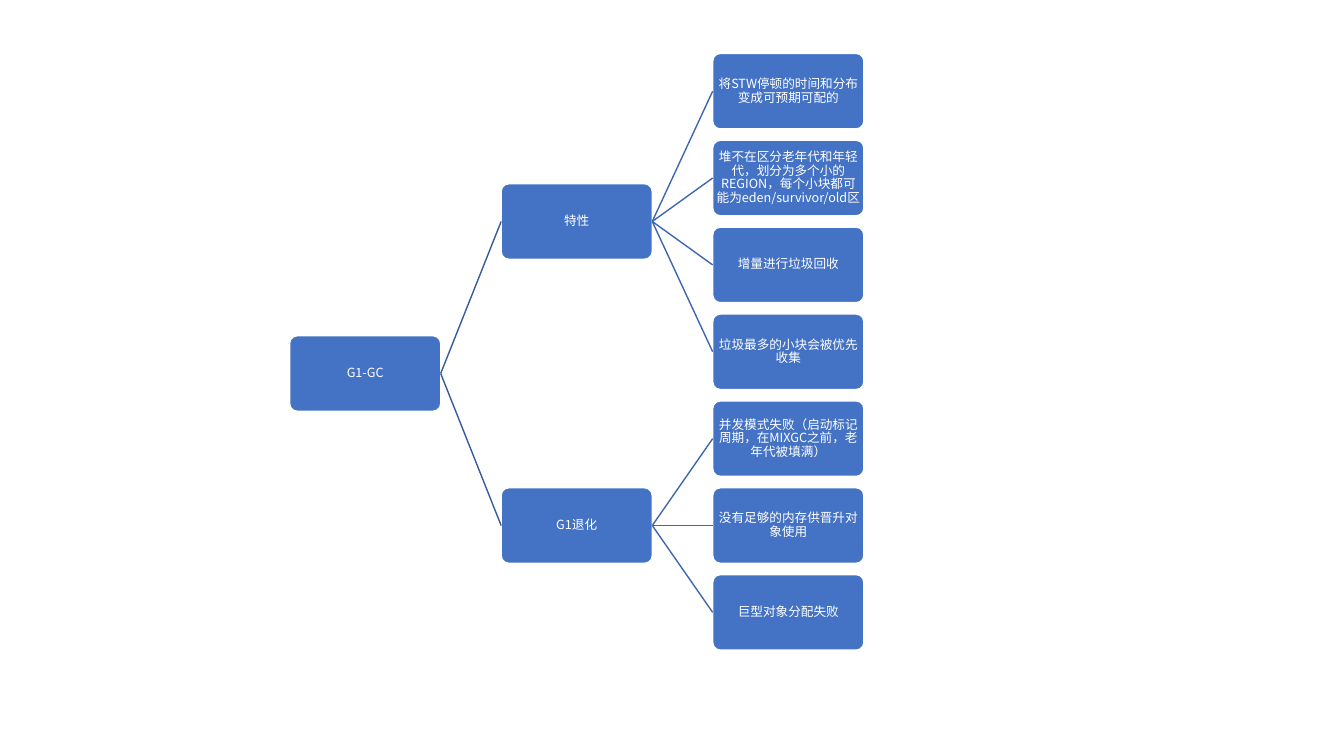
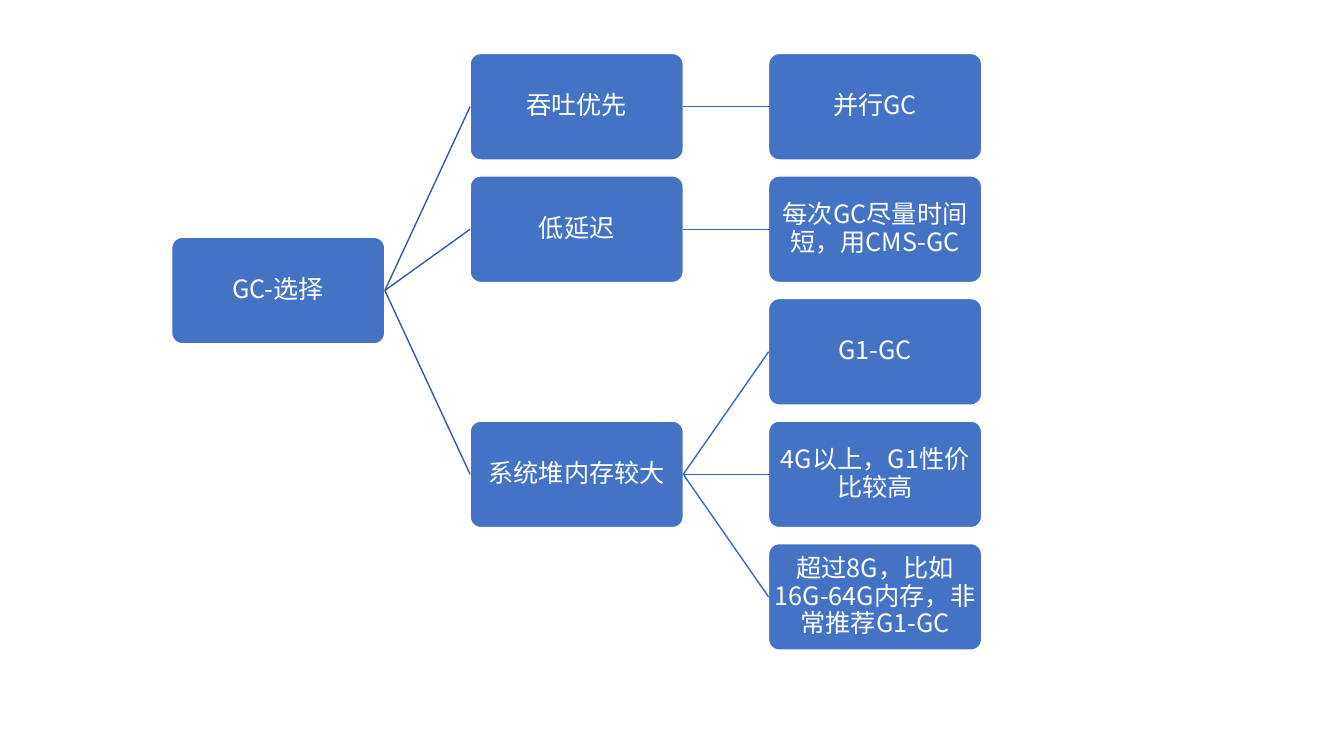
import pptx
import pptx.dml.color
import pptx.enum.shapes
import pptx.enum.text
import pptx.oxml.ns
import pptx.util
from collections import namedtuple
from lxml import etree

COLORS = {"box": "4472C4", "paper": "FFFFFF", "trunk": "365B9D", "branch": "3E67B2"}
LINKS = ["trunk", "branch"]
FONT = "Noto Sans CJK SC"
SLIDE_W, SLIDE_H = 13.33, 7.5
TREE_TOP, TREE_H, TREE_MID = 0.53, 5.92, 5.72
COLUMNS = 3
ROW_STEP, COL_STEP = 1.15, 1.4

Grid = namedtuple("Grid", "left w h size")

G1_TREE = ("G1-GC", [
    ("特性", [
        ("将STW停顿的时间和分布变成可预期可配的", []),
        ("堆不在区分老年代和年轻代，划分为多个小的REGION，每个小块都可能为eden/survivor/old区", []),
        ("增量进行垃圾回收", []),
        ("垃圾最多的小块会被优先收集", []),
    ]),
    ("G1退化", [
        ("并发模式失败（启动标记周期，在MIXGC之前，老年代被填满）", []),
        ("没有足够的内存供晋升对象使用", []),
        ("巨型对象分配失败", []),
    ]),
])

CHOICE_TREE = ("GC-选择", [
    ("吞吐优先", [("并行GC", [])]),
    ("低延迟", [("每次GC尽量时间短，用CMS-GC", [])]),
    ("系统堆内存较大", [
        ("G1-GC", []),
        ("4G以上，G1性价比较高", []),
        ("超过8G，比如16G-64G内存，非常推荐G1-GC", []),
    ]),
])


def rgb(name):
    return pptx.dml.color.RGBColor.from_string(COLORS[name])


def count_leaves(node):
    return sum(map(count_leaves, node[1])) or 1


def child_rows(node, first):
    rows = []
    for child in node[1]:
        rows.append(first)
        first += count_leaves(child)
    return rows


def middle_row(node, first):
    if not node[1]:
        return first
    rows = child_rows(node, first)
    return (middle_row(node[1][0], rows[0]) + middle_row(node[1][-1], rows[-1])) / 2


def make_grid(tree, size):
    h = TREE_H / (1 + ROW_STEP * (count_leaves(tree) - 1))
    w = 2 * h
    width = w * (1 + COL_STEP * (COLUMNS - 1))
    return Grid(TREE_MID - width / 2, w, h, size)


def write_text(sp, text, size):
    tf = sp.text_frame
    tf.word_wrap = True
    tf.vertical_anchor = pptx.enum.text.MSO_ANCHOR.MIDDLE
    inset = pptx.util.Pt(size * 0.05)
    tf.margin_left = tf.margin_right = tf.margin_top = tf.margin_bottom = inset
    p = tf.paragraphs[0]
    p.text = text
    p.alignment = pptx.enum.text.PP_ALIGN.CENTER
    p.line_spacing = 0.9
    p.font.size = pptx.util.Pt(size)
    p.font.color.rgb = rgb("paper")
    p.font.name = FONT
    props = p._p.pPr.find(pptx.oxml.ns.qn("a:defRPr"))
    etree.SubElement(props, pptx.oxml.ns.qn("a:ea")).set("typeface", FONT)


def add_box(slide, grid, text, col, row):
    x = grid.left + col * COL_STEP * grid.w
    y = TREE_TOP + row * ROW_STEP * grid.h
    sp = slide.shapes.add_shape(
        pptx.enum.shapes.MSO_SHAPE.ROUNDED_RECTANGLE,
        *map(pptx.util.Inches, (x, y, grid.w, grid.h)))
    sp.adjustments[0] = 0.1
    sp.shadow.inherit = False
    sp.fill.solid()
    sp.fill.fore_color.rgb = rgb("box")
    sp.line.color.rgb = rgb("paper")
    sp.line.width = pptx.util.Pt(1)
    write_text(sp, text, grid.size)
    return sp


def add_link(slide, parent, child, color):
    line = slide.shapes.add_connector(pptx.enum.shapes.MSO_CONNECTOR.STRAIGHT, 0, 0, 0, 0)
    line.begin_connect(parent, 3)
    line.end_connect(child, 1)
    line.line.color.rgb = rgb(color)
    line.line.width = pptx.util.Pt(1)
    etree.SubElement(line._element.spPr, pptx.oxml.ns.qn("a:effectLst"))


def add_branch(slide, grid, node, col=0, first=0):
    sp = add_box(slide, grid, node[0], col, middle_row(node, first))
    for child, row in zip(node[1], child_rows(node, first)):
        add_link(slide, sp, add_branch(slide, grid, child, col + 1, row), LINKS[col])
    return sp


def main():
    prs = pptx.Presentation()
    prs.slide_width = pptx.util.Inches(SLIDE_W)
    prs.slide_height = pptx.util.Inches(SLIDE_H)
    for tree, size in ((G1_TREE, 9), (CHOICE_TREE, 18)):
        slide = prs.slides.add_slide(prs.slide_layouts[6])
        add_branch(slide, make_grid(tree, size), tree)
    prs.save("out.pptx")


if __name__ == "__main__":
    main()
